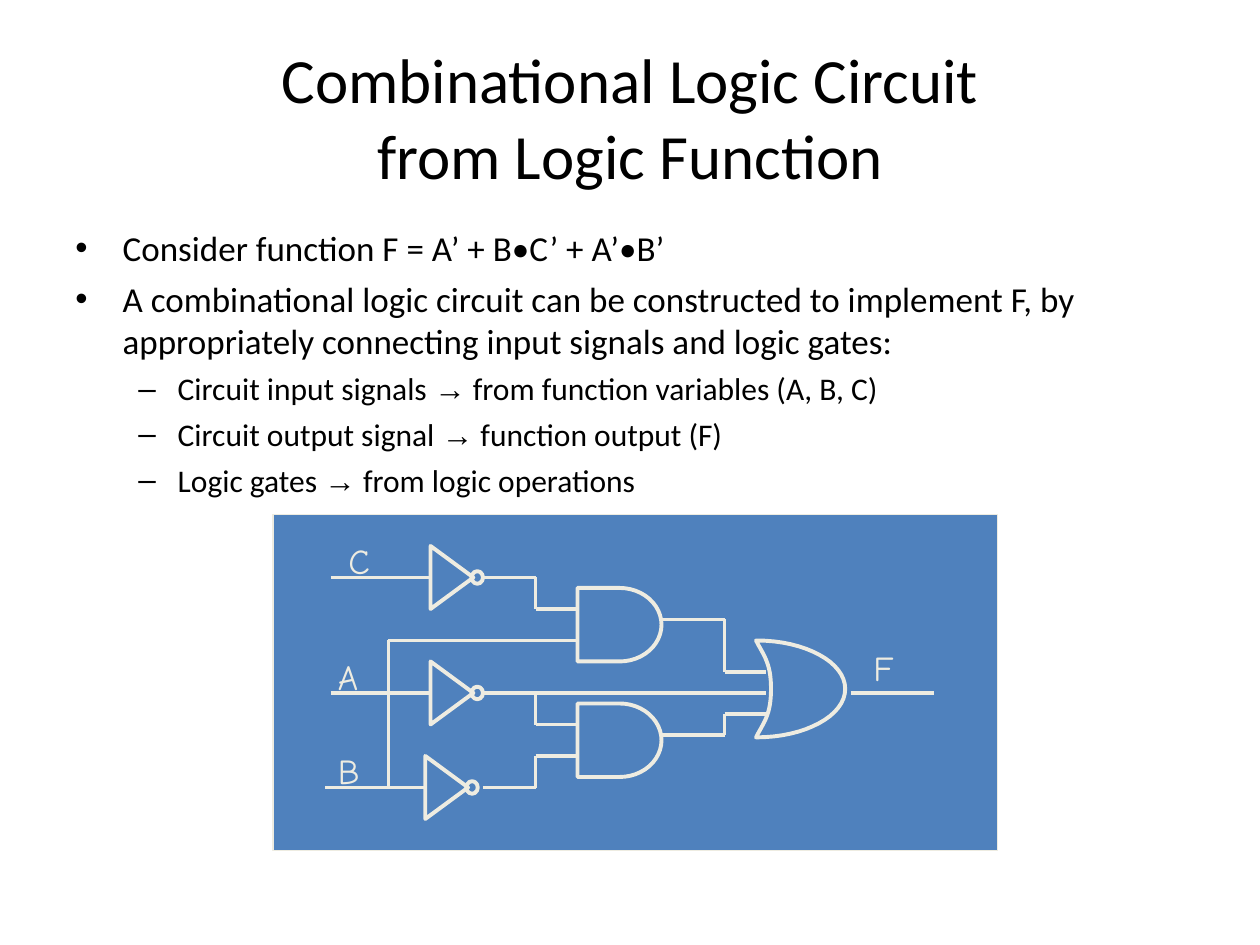
"""Build the slide that derives a combinational logic circuit from a logic function."""
import dataclasses

import lxml.etree
import pptx
import pptx.dml.color
import pptx.enum.shapes
import pptx.enum.text
import pptx.oxml.ns
import pptx.util


@dataclasses.dataclass(frozen=True)
class Theme:
    """Colours, fonts and sizes of the slide."""
    ink: str = "000000"
    panel: str = "4F81BD"
    chalk: str = "EEECE1"
    text_font: str = "Calibri"
    arrow_font: str = "Arial"
    label_font: str = "Comic Neue"
    title_size: float = 36
    body_sizes: tuple = (20, 18)
    label_size: float = 20
    outline: float = 2.25
    riser: float = 2
    border: float = 0.75


THEME = Theme()
SHAPES = pptx.enum.shapes.MSO_SHAPE
BULLETS = (("•", 27, 27, 5), ("–", 58.5, 22.5, 4.5))
POINTS = (
    (0, ("Consider function F = A’ + B•C’ + A’•B’",)),
    (0, ("A combinational logic circuit can be constructed to implement F, by "
         "appropriately connecting input signals and logic gates:",)),
    (1, ("Circuit input signals ", "→", " from function variables (A, B, C)")),
    (1, ("Circuit output signal ", "→", " function output (F)")),
    (1, ("Logic gates ", "→", " from logic operations")),
)
INVERTERS = ((246, 330), (246, 396), (243, 450))
AND_GATES = ((330, 336), (330, 402))
WIRES = (
    ((189, 330), (246, 330)),
    ((189, 396), (246, 396)),
    ((186, 450), (243, 450)),
    ((276, 330), (306, 330), (306, 348), (330, 348)),
    ((222, 450), (222, 366), (330, 366)),
    ((276, 396), (438, 396)),
    ((306, 396), (306, 414), (330, 414)),
    ((276, 450), (306, 450), (306, 432), (330, 432)),
    ((378, 354), (414, 354), (414, 384), (438, 384)),
    ((378, 420), (414, 420), (414, 408), (438, 408)),
    ((486, 396), (534, 396)),
)
SIGNALS = (("C", 192, 304.5), ("A", 186, 371), ("B", 186, 425), ("F", 492, 366))


def box(*lengths):
    """Convert lengths in points to EMU."""
    return [pptx.util.Pt(length) for length in lengths]


def rgb(code):
    """Return a colour from its hex code."""
    return pptx.dml.color.RGBColor.from_string(code)


def add_run(paragraph, text, font, size, colour):
    """Add one formatted run."""
    run = paragraph.add_run()
    run.text = text
    run.font.name = font
    run.font.size = pptx.util.Pt(size)
    run.font.color.rgb = rgb(colour)


def add_title(slide, lines):
    """Place the title and break it into lines."""
    title = slide.shapes.title
    title.left, title.top, title.width, title.height = box(0, 21.6, 720, 90)
    frame = title.text_frame
    frame.auto_size = pptx.enum.text.MSO_AUTO_SIZE.NONE
    frame.vertical_anchor = pptx.enum.text.MSO_ANCHOR.MIDDLE
    paragraph = frame.paragraphs[0]
    paragraph.alignment = pptx.enum.text.PP_ALIGN.CENTER
    for index, line in enumerate(lines):
        if index:
            paragraph.add_line_break()
        add_run(paragraph, line, THEME.text_font, THEME.title_size, THEME.ink)


def set_bullet(paragraph, level):
    """Give a paragraph the bullet and hanging indent of its level."""
    mark, margin, hang, _ = BULLETS[level]
    qn = pptx.oxml.ns.qn
    properties = paragraph._p.get_or_add_pPr()
    properties.set("marL", str(pptx.util.Pt(margin)))
    properties.set("indent", str(-pptx.util.Pt(hang)))
    colour = lxml.etree.SubElement(properties, qn("a:buClr"))
    lxml.etree.SubElement(colour, qn("a:srgbClr"), val=THEME.ink)
    lxml.etree.SubElement(properties, qn("a:buFont"), typeface=THEME.arrow_font)
    lxml.etree.SubElement(properties, qn("a:buChar"), char=mark)


def add_points(slide):
    """Add the bulleted explanation."""
    frame = slide.shapes.add_textbox(*box(36, 126, 648, 356.4)).text_frame
    frame.word_wrap = True
    for index, (level, pieces) in enumerate(POINTS):
        paragraph = frame.add_paragraph() if index else frame.paragraphs[0]
        paragraph.level = level
        set_bullet(paragraph, level)
        if index:
            paragraph.space_before = pptx.util.Pt(BULLETS[level][3])
        for piece in pieces:
            font = THEME.arrow_font if piece == "→" else THEME.text_font
            add_run(paragraph, piece, font, THEME.body_sizes[level], THEME.ink)


def style_outline(shape, weight=THEME.outline):
    """Draw a shape as an unfilled chalk outline."""
    shape.shadow.inherit = False
    shape.fill.background()
    shape.line.color.rgb = rgb(THEME.chalk)
    shape.line.width = pptx.util.Pt(weight)


def add_panel(circuit):
    """Add the coloured board behind the circuit."""
    panel = circuit.add_shape(SHAPES.RECTANGLE, *box(156, 294, 414, 192))
    style_outline(panel, THEME.border)
    panel.fill.solid()
    panel.fill.fore_color.rgb = rgb(THEME.panel)


def add_inverter(circuit, left, middle):
    """Add a NOT gate: a triangle pointing right and its bubble."""
    triangle = circuit.add_shape(
        SHAPES.ISOSCELES_TRIANGLE, *box(left - 5.75, middle - 12.25, 36, 24.5))
    triangle.rotation = 90
    bubble = circuit.add_shape(SHAPES.OVAL, *box(left + 23.5, middle - 3.6, 6.5, 7.2))
    style_outline(triangle)
    style_outline(bubble)


def add_and_gate(circuit, left, top):
    """Add an AND gate."""
    style_outline(circuit.add_shape(SHAPES.FLOWCHART_DELAY, *box(left, top, 48, 42)))


def curve(start, first, second, end, steps=16):
    """Return points along a cubic curve, without its start."""
    return [box(*((1 - t) ** 3 * a + 3 * (1 - t) ** 2 * t * b
                  + 3 * (1 - t) * t ** 2 * c + t ** 3 * d
                  for a, b, c, d in zip(start, first, second, end)))
            for t in (step / steps for step in range(1, steps + 1))]


def add_or_gate(circuit):
    """Add the OR gate with its hollow back and rounded nose."""
    top, back, bottom, nose = (432, 366), (440.6, 393.7), (432, 421.4), (483, 393.7)
    outline = (curve(top, (436.3, 374.4), (440.6, 378.7), back)
               + curve(back, (440.6, 408.7), (436.3, 413), bottom)
               + curve(bottom, (460.2, 421.4), (483, 409), nose)
               + curve(nose, (483, 378.4), (460.2, 366), top))
    builder = circuit.build_freeform(*box(*top))
    builder.add_line_segments(outline, close=True)
    style_outline(builder.convert_to_shape())


def add_wire(circuit, corners):
    """Connect the corners of a wire with straight lines."""
    for start, end in zip(corners, corners[1:]):
        wire = circuit.add_connector(
            pptx.enum.shapes.MSO_CONNECTOR.STRAIGHT, *box(*start, *end))
        wire.line.color.rgb = rgb(THEME.chalk)
        wire.line.width = pptx.util.Pt(
            THEME.riser if start[0] == end[0] else THEME.outline)
        lxml.etree.SubElement(wire._element.spPr, pptx.oxml.ns.qn("a:effectLst"))


def add_signal(circuit, name, left, top):
    """Add the name of a signal."""
    frame = circuit.add_textbox(*box(left, top, 36, 31.5)).text_frame
    frame.word_wrap = True
    add_run(frame.paragraphs[0], name, THEME.label_font, THEME.label_size, THEME.chalk)


def main():
    """Build and save the slide."""
    deck = pptx.Presentation()
    deck.slide_width, deck.slide_height = box(720, 540)
    slide = deck.slides.add_slide(deck.slide_layouts[5])
    add_title(slide, ("Combinational Logic Circuit", "from Logic Function"))
    add_points(slide)
    circuit = slide.shapes.add_group_shape().shapes
    add_panel(circuit)
    for place in INVERTERS:
        add_inverter(circuit, *place)
    for place in AND_GATES:
        add_and_gate(circuit, *place)
    add_or_gate(circuit)
    for corners in WIRES:
        add_wire(circuit, corners)
    for signal in SIGNALS:
        add_signal(circuit, *signal)
    deck.save("out.pptx")


if __name__ == "__main__":
    main()
